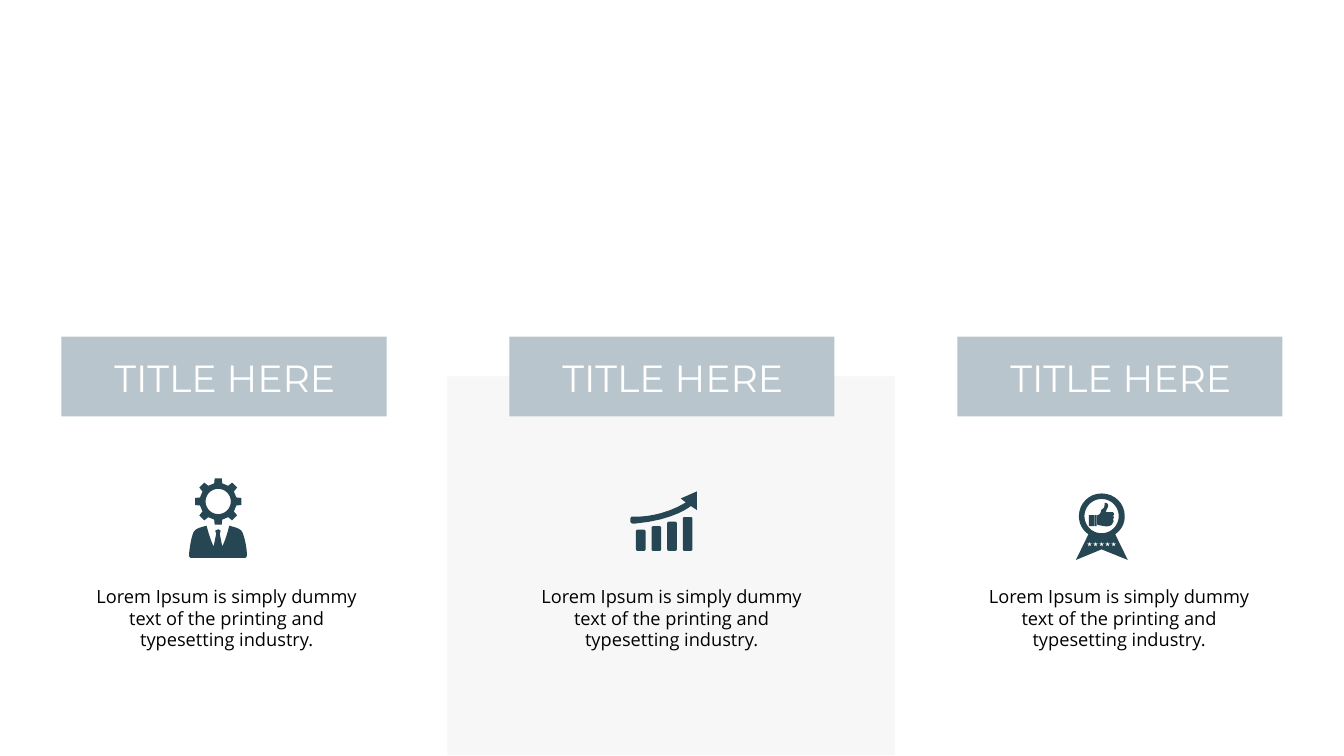
from math import cos, pi, sin

from pptx import Presentation
from pptx.dml.color import RGBColor
from pptx.enum.shapes import MSO_SHAPE
from pptx.enum.text import MSO_AUTO_SIZE, PP_ALIGN
from pptx.util import Inches, Pt

WHITE = RGBColor(0xFF, 0xFF, 0xFF)
BLACK = RGBColor(0x00, 0x00, 0x00)
PALE_GREY = RGBColor(0xF7, 0xF7, 0xF7)
BLUE_GREY = RGBColor(0xB8, 0xC5, 0xCC)
NAVY = RGBColor(0x26, 0x46, 0x53)

LOREM = "Lorem Ipsum is simply dummy text of the printing and typesetting industry."
COLUMNS = [
    {"heading": "TITLE HERE", "body": LOREM, "body_left": 1.8, "panel": WHITE},
    {"heading": "TITLE HERE", "body": LOREM, "body_left": 10.63, "panel": PALE_GREY},
    {"heading": "TITLE HERE", "body": LOREM, "body_left": 19.51, "panel": WHITE},
]
PANEL_STEP, BAR_STEP = 8.88, 8.89

# Outline entries: (x, y) is a corner, six numbers are a cubic curve.
SUIT = [
    (4.33, 10.5), (4.27, 10.53), (4.29, 10.59), (4.24, 10.84),
    (4.18, 10.73, 4.13, 10.55, 4.1, 10.43),
    (4.01, 10.46, 3.89, 10.47, 3.84, 10.56),
    (3.8, 10.65, 3.76, 10.86, 3.75, 11.02),
    (3.75, 11.04, 3.77, 11.07, 3.79, 11.07), (4.86, 11.07),
    (4.88, 11.07, 4.9, 11.04, 4.9, 11.02),
    (4.9, 10.86, 4.85, 10.65, 4.81, 10.56),
    (4.76, 10.47, 4.64, 10.46, 4.55, 10.43),
    (4.52, 10.55, 4.47, 10.73, 4.41, 10.84), (4.36, 10.59), (4.38, 10.53),
]
GEAR_CENTRE = (4.33, 9.95)
TOOTH = [(-0.08, -0.36), (-0.07, -0.46), (0.07, -0.46), (0.08, -0.36)]

GROWTH_TOPS = [10.51, 10.44, 10.35, 10.26]
GROWTH_BOTTOM = 10.93
GROWTH_ARROW = [
    (12.57, 10.25), (12.74, 10.26, 13.18, 10.23, 13.61, 9.97),
    (13.51, 9.89), (13.83, 9.75), (13.83, 10.12), (13.71, 10.04),
    (13.71, 10.04, 13.39, 10.32, 12.59, 10.39),
    (12.59, 10.39, 12.51, 10.4, 12.51, 10.34),
    (12.51, 10.3, 12.5, 10.24, 12.57, 10.25),
]

BADGE_CENTRE = (21.86, 10.24)
BADGE = [
    (22.13, 10.6), (22.25, 10.52, 22.32, 10.39, 22.32, 10.24),
    (22.32, 9.99, 22.12, 9.79, 21.86, 9.79),
    (21.61, 9.79, 21.41, 9.99, 21.41, 10.24),
    (21.41, 10.39, 21.48, 10.52, 21.6, 10.6),
    (21.35, 11.11), (21.86, 10.9), (22.38, 11.11),
]
THUMB = [
    (21.8, 10.42), (21.82, 10.42, 21.85, 10.43, 21.92, 10.44),
    (22.01, 10.45, 22.03, 10.43, 22.06, 10.41),
    (22.09, 10.39, 22.07, 10.37, 22.09, 10.36),
    (22.1, 10.35, 22.1, 10.34, 22.09, 10.31),
    (22.08, 10.29, 22.12, 10.27, 22.1, 10.26),
    (22.1, 10.25, 22.09, 10.25, 22.09, 10.23),
    (22.1, 10.22, 22.12, 10.21, 22.1, 10.18),
    (22.09, 10.16, 22.08, 10.16, 22.04, 10.16), (21.96, 10.16),
    (21.94, 10.16, 21.95, 10.13, 21.97, 10.09),
    (21.99, 10.06, 22, 10.03, 21.98, 10),
    (21.96, 9.97, 21.92, 9.97, 21.92, 9.99),
    (21.92, 10.01, 21.92, 10.07, 21.89, 10.09),
    (21.85, 10.11, 21.85, 10.13, 21.84, 10.17),
    (21.82, 10.21, 21.79, 10.22, 21.78, 10.22),
    (21.77, 10.22, 21.77, 10.25, 21.77, 10.27), (21.77, 10.39),
    (21.77, 10.41, 21.78, 10.41, 21.8, 10.42),
]
CUFFS = [
    [(left, 10.22), (right, 10.22), (right, 10.44), (left, 10.44)]
    for left, right in [(21.61, 21.71), (21.72, 21.76)]
]


def flatten(outline, steps=8):
    points = []
    for entry in outline:
        if len(entry) == 2:
            points.append(entry)
            continue
        controls = [points[-1], entry[:2], entry[2:4], entry[4:]]
        for step in range(1, steps + 1):
            t = step / steps
            weights = [(1 - t) ** 3, 3 * t * (1 - t) ** 2, 3 * t * t * (1 - t), t ** 3]
            points.append(tuple(
                sum(w * c[axis] for w, c in zip(weights, controls)) for axis in (0, 1)
            ))
    return points


def radial(centre, radii, count):
    return [
        (centre[0] + radii[i % len(radii)] * sin(2 * pi * i / count),
         centre[1] - radii[i % len(radii)] * cos(2 * pi * i / count))
        for i in range(count)
    ]


def gear(centre):
    angles = [pi / 4 * i for i in range(8)]
    return [
        (centre[0] + x * cos(a) - y * sin(a), centre[1] + x * sin(a) + y * cos(a))
        for a in angles for x, y in TOOTH
    ]


def paint(shape, colour):
    shape.fill.solid()
    shape.fill.fore_color.rgb = colour
    shape.line.fill.background()
    shape.shadow.inherit = False


def add_block(shapes, kind, left, top, width, height, colour):
    block = shapes.add_shape(kind, Inches(left), Inches(top), Inches(width), Inches(height))
    paint(block, colour)
    return block


def add_outline(shapes, outlines):
    contours = [[(Inches(x), Inches(y)) for x, y in flatten(o)] for o in outlines]
    builder = shapes.build_freeform(*contours[0][0], scale=1.0)
    for index, contour in enumerate(contours):
        if index:
            builder.move_to(*contour[0])
        builder.add_line_segments(contour[1:], close=True)
    paint(builder.convert_to_shape(), NAVY)


def add_text(shapes, text, left, top, width, height, size, font, colour, wrap):
    box = shapes.add_textbox(Inches(left), Inches(top), Inches(width), Inches(height))
    frame = box.text_frame
    frame.word_wrap = wrap
    frame.auto_size = MSO_AUTO_SIZE.SHAPE_TO_FIT_TEXT
    if not wrap:
        frame.margin_left = frame.margin_right = frame.margin_top = frame.margin_bottom = 0
    frame.text = text
    paragraph = frame.paragraphs[0]
    paragraph.alignment = PP_ALIGN.CENTER
    run_font = paragraph.runs[0].font
    run_font.size, run_font.name = Pt(size), font
    run_font.color.rgb = colour


def main():
    deck = Presentation()
    deck.slide_width, deck.slide_height = Inches(26.67), Inches(15)
    shapes = deck.slides.add_slide(deck.slide_layouts[6]).shapes

    for i, column in enumerate(COLUMNS):
        add_block(shapes, MSO_SHAPE.RECTANGLE, i * PANEL_STEP, 7.47, 8.91, 7.52, column["panel"])
    for i, column in enumerate(COLUMNS):
        bar_left = 1.22 + i * BAR_STEP
        add_block(shapes, MSO_SHAPE.RECTANGLE, bar_left, 6.68, 6.45, 1.58, BLUE_GREY)
        add_text(shapes, column["heading"], bar_left + 1.03, 7.03, 4.42, 0.91,
                 54, "Montserrat", WHITE, False)
        add_text(shapes, column["body"], column["body_left"], 11.56, 5.4, 1.41,
                 26, "Open Sans", BLACK, True)

    stars = [radial((21.62 + 0.12 * i, 10.8), [0.06, 0.02], 10) for i in range(5)]
    badge_hole = radial(BADGE_CENTRE, [0.34], 48)
    add_outline(shapes, [BADGE, badge_hole, THUMB, *CUFFS, *stars])

    growth = shapes.add_group_shape().shapes
    for i, top in enumerate(GROWTH_TOPS):
        bar = add_block(growth, MSO_SHAPE.ROUNDED_RECTANGLE, 12.62 + 0.31 * i, top,
                        0.19, GROWTH_BOTTOM - top, NAVY)
        bar.adjustments[0] = 0.16
    add_outline(growth, [GROWTH_ARROW])

    add_outline(shapes, [SUIT, gear(GEAR_CENTRE), radial(GEAR_CENTRE, [0.25], 48)])
    deck.save("out.pptx")


if __name__ == "__main__":
    main()
